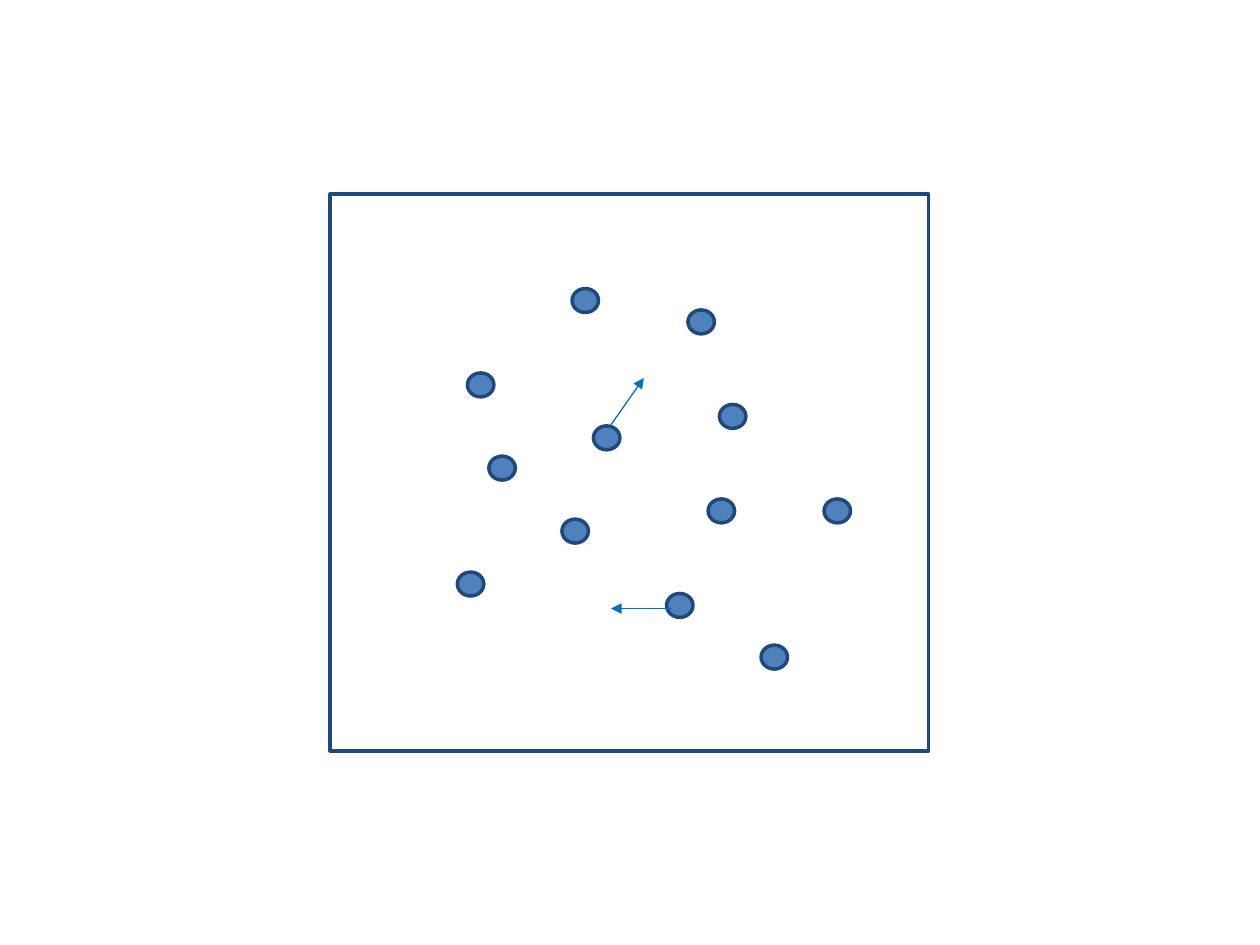
from pptx import Presentation
from pptx.dml.color import RGBColor
from pptx.enum.shapes import MSO_CONNECTOR as Connector, MSO_SHAPE as Shape
from pptx.oxml.ns import qn
from pptx.util import Inches, Pt
from lxml.etree import SubElement

COLORS = {"outline": "1F497D", "particle": "4F81BD", "velocity": "0070C0"}
PARTICLE_SIZE = (0.21, 0.19)

# Left and top of each gas particle, in inches
PARTICLES = [
    (5.29, 4.71), (5.62, 3.96), (6.04, 5.12), (5.46, 2.46),
    (3.88, 3.62), (4.71, 3.38), (5.71, 3.21), (4.46, 4.12),
    (4.54, 2.29), (6.54, 3.96), (3.63, 4.54), (3.71, 2.96),
]
# Start and end of each velocity arrow, in inches
VELOCITIES = [((4.85, 3.37), (5.11, 3)), ((5.33, 4.83), (4.85, 4.83))]


class Diagram:
    """Holds the style and the group of shapes on the current slide."""

    def __init__(self, slide):
        self.slide = slide
        self.gas = slide.shapes.add_group_shape().shapes

    def set_line(self, line, color, width):
        line.color.rgb = RGBColor.from_string(COLORS[color])
        line.width = Pt(width)

    def outlined(self, kind, left, top, width, height, fill=None):
        box = map(Inches, (left, top, width, height))
        shape = self.gas.add_shape(kind, *box)
        shape.shadow.inherit = False
        if fill:
            shape.fill.solid()
            shape.fill.fore_color.rgb = RGBColor.from_string(COLORS[fill])
        else:
            shape.fill.background()
        self.set_line(shape.line, "outline", 2)

    def container(self, left, top, width, height):
        self.outlined(Shape.RECTANGLE, left, top, width, height)

    def particle(self, left, top):
        self.outlined(Shape.OVAL, left, top, *PARTICLE_SIZE, fill="particle")

    def velocity(self, start, end):
        ends = map(Inches, (*start, *end))
        arrow = self.gas.add_connector(Connector.STRAIGHT, *ends)
        self.set_line(arrow.line, "velocity", 0.75)
        properties = arrow.element.spPr
        SubElement(properties.find(qn("a:ln")), qn("a:tailEnd"), type="triangle")
        SubElement(properties, qn("a:effectLst"))


def main():
    prs = Presentation()
    prs.slide_width, prs.slide_height = Inches(10), Inches(7.5)
    diagram = Diagram(prs.slides.add_slide(prs.slide_layouts[6]))

    # Container
    diagram.container(2.62, 1.54, 4.75, 4.42)

    # Gas particles
    for left, top in PARTICLES:
        diagram.particle(left, top)

    # Velocity arrows
    for start, end in VELOCITIES:
        diagram.velocity(start, end)

    prs.save("out.pptx")


if __name__ == "__main__":
    main()
